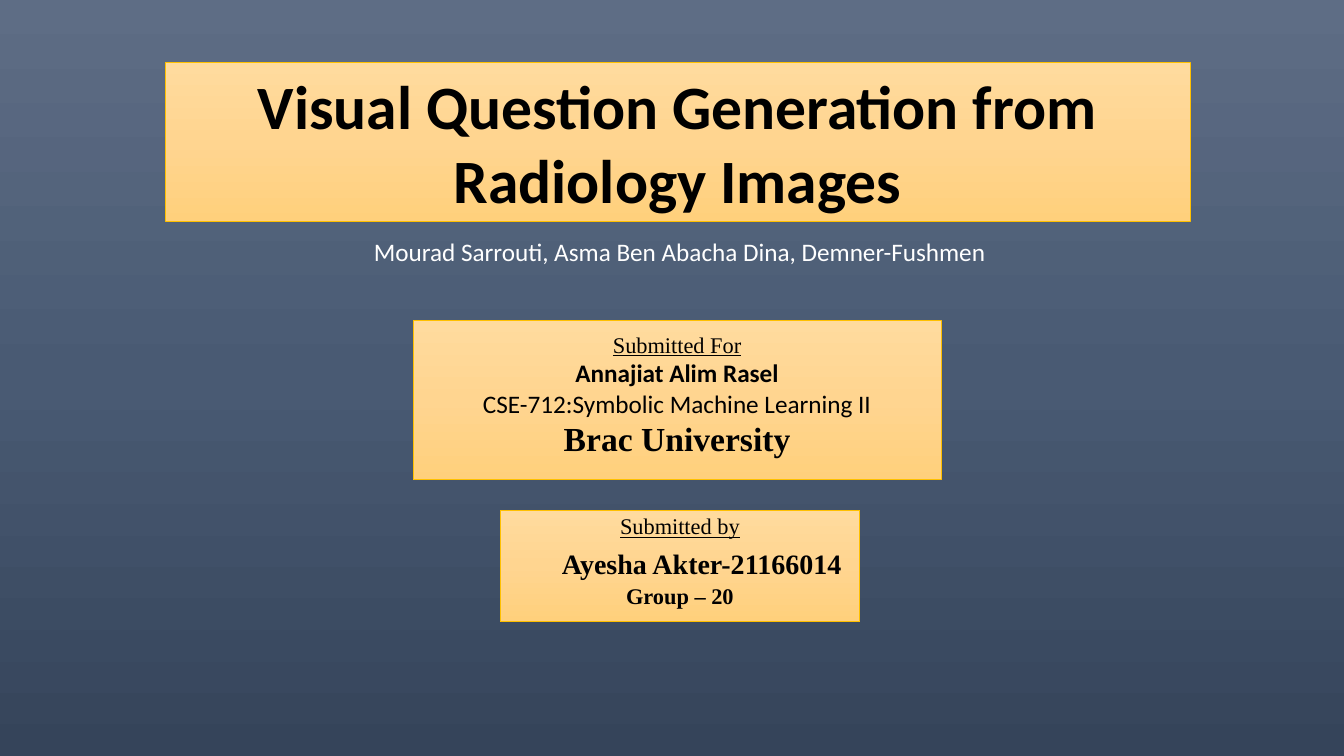
import copy
from dataclasses import dataclass

import pptx
import pptx.dml.color
import pptx.enum.shapes
import pptx.enum.text
import pptx.oxml.ns
import pptx.util

Cm = pptx.util.Cm
Pt = pptx.util.Pt


@dataclass(frozen=True)
class Theme:
    """Colours, fonts and type sizes of the slide."""
    backdrop: tuple = ("5E6D85", "495A73", "35445A")
    panel: tuple = ("FFDB9E", "FFD590", "FFD07C")
    border: str = "FFC000"
    dark: str = "000000"
    light: str = "FFFFFF"
    sans: str = "Calibri"
    serif: str = "Times New Roman"
    title: int = 44
    large: int = 24
    medium: int = 20
    body: int = 18
    small: int = 16


THEME = Theme()


@dataclass(frozen=True)
class Line:
    """One paragraph with its type and spacing."""
    text: str
    size: int
    font: str = THEME.sans
    bold: bool = False
    underline: bool = False
    color: str = THEME.dark
    before: float = 0
    after: float = 0
    indent: float = 0


def rgb(code):
    """Turn a hex code into a colour."""
    return pptx.dml.color.RGBColor.from_string(code)


def fill_gradient(fill, element, colors):
    """Fill with evenly spaced colours running from top to bottom."""
    fill.gradient()
    fill.gradient_angle = 270
    stop_list = next(element.iter(pptx.oxml.ns.qn("a:gsLst")))
    stop_list.insert(1, copy.deepcopy(stop_list[0]))
    for index, (stop, color) in enumerate(zip(fill.gradient_stops, colors)):
        stop.color.rgb = rgb(color)
        stop.position = index / (len(colors) - 1)


def write_lines(frame, lines, alignment):
    """Write one paragraph per line into a text frame."""
    frame.text = "\n".join(line.text for line in lines)
    for para, line in zip(frame.paragraphs, lines):
        para.alignment = alignment
        para.space_before, para.space_after = Pt(line.before), Pt(line.after)
        if line.indent:
            para._p.get_or_add_pPr().set("marL", str(Cm(line.indent)))
        for span in para.runs:
            span.font.name = line.font
            span.font.size = Pt(line.size)
            span.font.bold = line.bold
            span.font.underline = line.underline
            span.font.color.rgb = rgb(line.color)


def add_panel(page, left, top, width, height, lines, bottom=0.13):
    """Add a golden panel with centred text."""
    panel = page.shapes.add_shape(
        pptx.enum.shapes.MSO_SHAPE.RECTANGLE,
        Cm(left), Cm(top), Cm(width), Cm(height))
    panel.shadow.inherit = False
    fill_gradient(panel.fill, panel._element, THEME.panel)
    panel.line.color.rgb = rgb(THEME.border)
    panel.line.width = Pt(0.5)
    frame = panel.text_frame
    frame.word_wrap = True
    frame.vertical_anchor = pptx.enum.text.MSO_ANCHOR.MIDDLE
    frame.margin_bottom = Cm(bottom)
    write_lines(frame, lines, pptx.enum.text.PP_ALIGN.CENTER)


def add_caption(page, left, top, width, height, line):
    """Add a single unwrapped line of text."""
    box = page.shapes.add_textbox(Cm(left), Cm(top), Cm(width), Cm(height))
    box.text_frame.word_wrap = False
    write_lines(box.text_frame, [line], pptx.enum.text.PP_ALIGN.LEFT)


def main():
    """Build and save the title slide."""
    deck = pptx.Presentation()
    deck.slide_width, deck.slide_height = Cm(33.87), Cm(19.05)
    page = deck.slides.add_slide(deck.slide_layouts[6])
    fill_gradient(page.background.fill, page._element, THEME.backdrop)

    add_panel(page, 4.17, 1.57, 25.83, 4.01, [
        Line("Visual Question Generation from Radiology Images",
             THEME.title, bold=True)])
    add_caption(page, 9.17, 5.84, 16.13, 1.02, Line(
        "Mourad Sarrouti, Asma Ben Abacha Dina, Demner-Fushmen",
        THEME.body, color=THEME.light))
    add_panel(page, 10.41, 8.08, 13.31, 4.01, [
        Line("Submitted For", THEME.small, THEME.serif, underline=True),
        Line("Annajiat Alim Rasel", THEME.body, bold=True),
        Line("CSE-712:Symbolic Machine Learning II", THEME.body),
        Line("Brac University", THEME.large, THEME.serif, bold=True),
    ], bottom=0.4)
    add_panel(page, 12.6, 12.85, 9.07, 2.82, [
        Line("Submitted by", THEME.small, THEME.serif, underline=True),
        Line("Ayesha Akter-21166014", THEME.medium, THEME.serif, bold=True,
             before=5, after=1.5, indent=1.1),
        Line("Group – 20", THEME.small, THEME.serif, bold=True),
    ], bottom=0.4)
    deck.save("out.pptx")


main()
